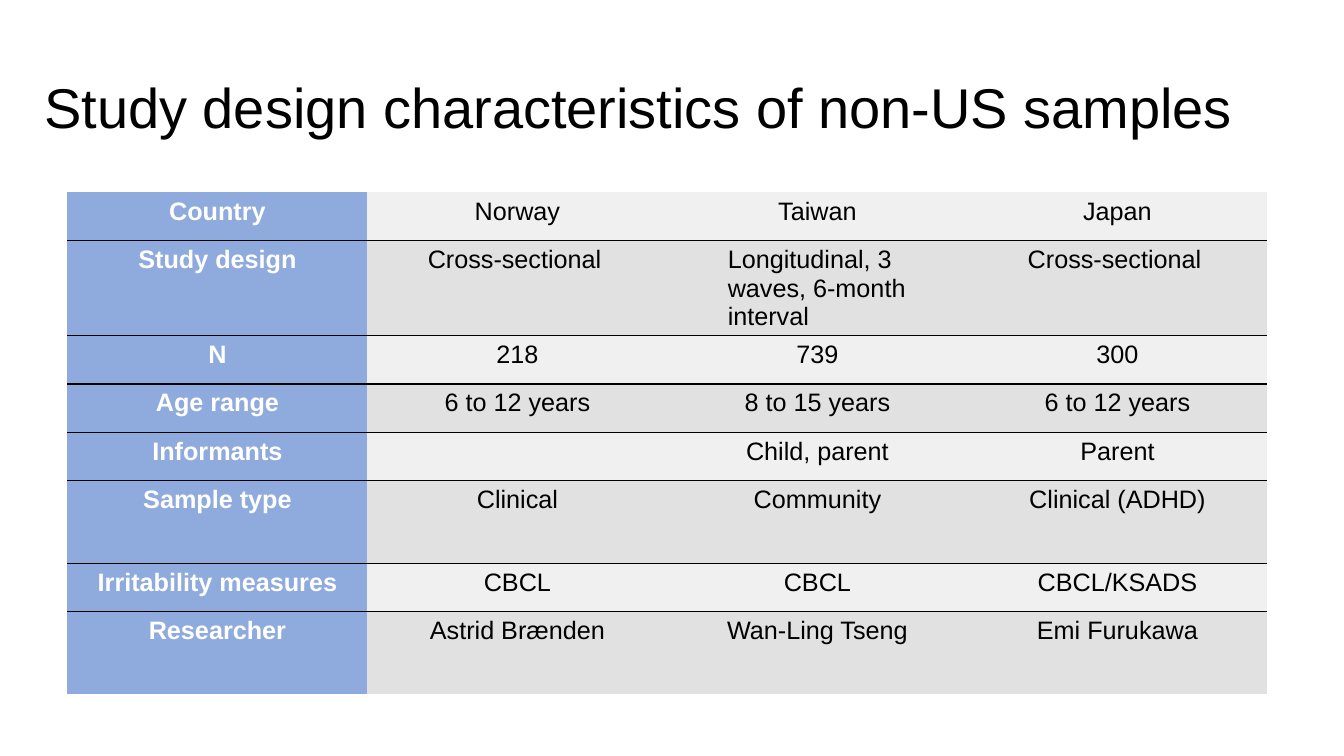
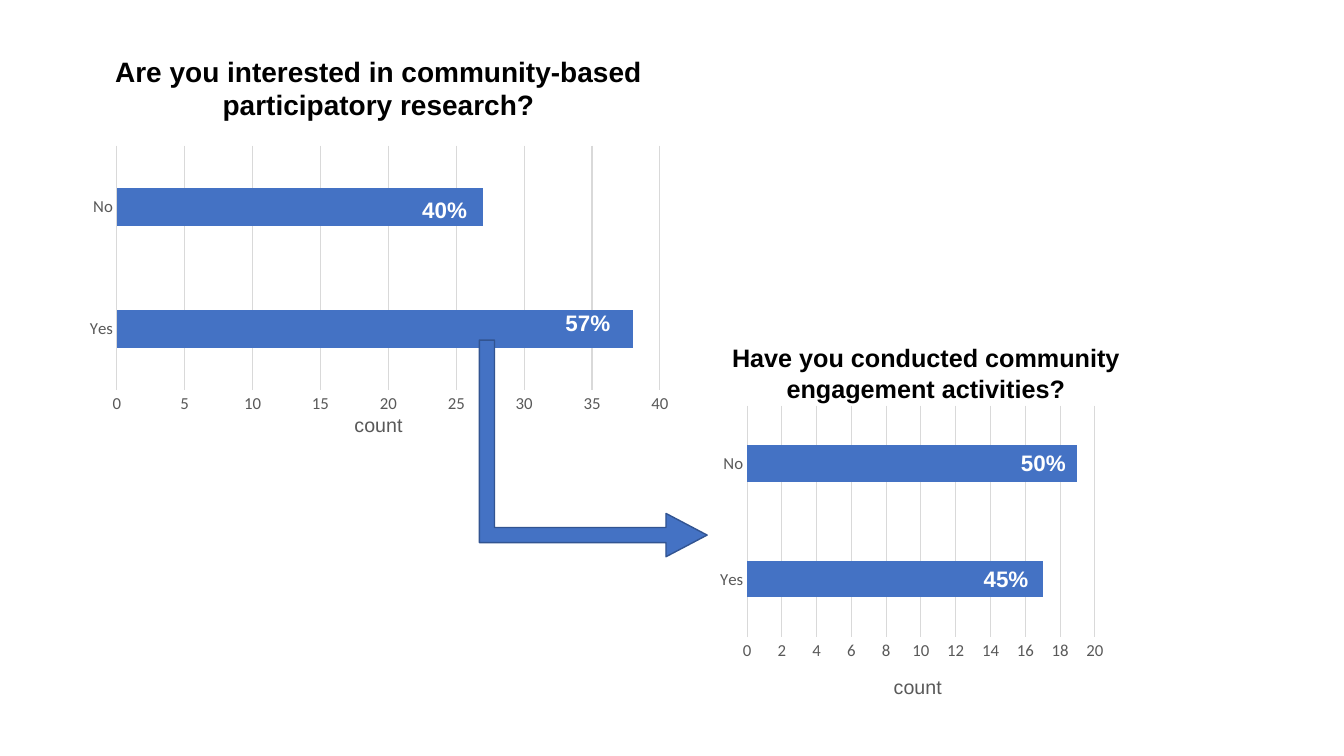
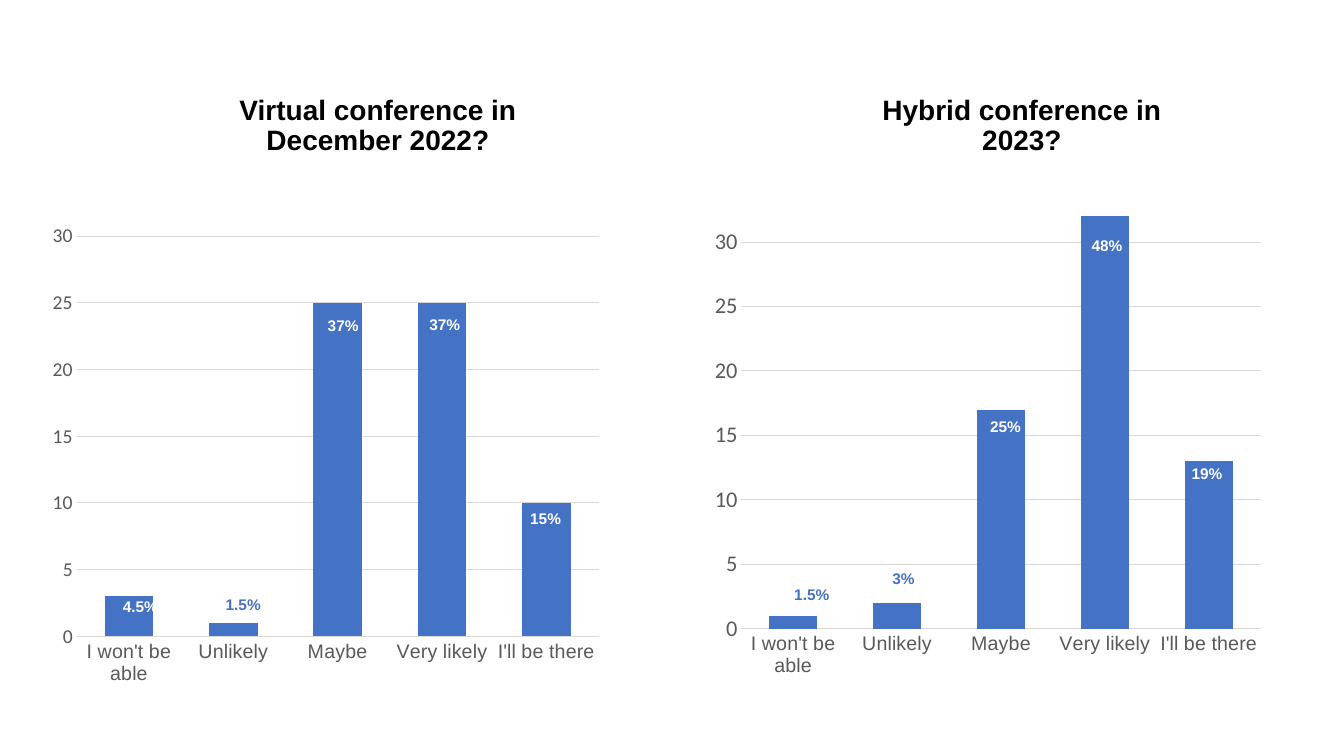
"""Build three slides on study samples and survey answers."""
import lxml.etree
import pptx
import pptx.chart.data
import pptx.dml.color
import pptx.enum.chart
import pptx.enum.shapes
import pptx.enum.text
import pptx.oxml
import pptx.oxml.ns
import pptx.util

Cm = pptx.util.Cm
Pt = pptx.util.Pt
qn = pptx.oxml.ns.qn
ALIGN = pptx.enum.text.PP_ALIGN
ANCHOR = pptx.enum.text.MSO_ANCHOR
CHART = pptx.enum.chart.XL_CHART_TYPE

BLACK, WHITE, GREY, RULE = "000000", "FFFFFF", "595959", "D9D9D9"
BLUE, DARK_BLUE, PALE_BLUE = "4472C4", "325491", "8FAADC"
BANDS = ("F0F0F0", "E1E1E1")
NO_TABLE_STYLE = "{2D5ABB26-0587-4C30-8999-92F81FD0307C}"
TITLE_ONLY = 5

SAMPLES = [
    (1.22, "Country", "Norway", "Taiwan", "Japan"),
    (2.08, "Study design", "Cross-sectional",
     "Longitudinal, 3 waves, 6-month interval", "Cross-sectional"),
    (1.22, "N", "218", "739", "300"),
    (1.22, "Age range", "6 to 12 years", "8 to 15 years", "6 to 12 years"),
    (1.22, "Informants", "", "Child, parent", "Parent"),
    (2.08, "Sample type", "Clinical", "Community", "Clinical (ADHD)"),
    (1.22, "Irritability measures", "CBCL", "CBCL", "CBCL/KSADS"),
    (2.08, "Researcher", "Astrid Brænden", "Wan-Ling Tseng", "Emi Furukawa"),
]
INDENTED_ROW = 1
ANSWERS = ["Yes", "No"]
LIKELIHOOD = ["I won't be able", "Unlikely", "Maybe", "Very likely",
              "I'll be there"]


def rgb(hex_code):
    """Return the colour for a hex string."""
    return pptx.dml.color.RGBColor.from_string(hex_code)


def paint(fill, hex_code):
    """Make a fill solid in one colour."""
    fill.solid()
    fill.fore_color.rgb = rgb(hex_code)


def style_font(font, size, color, name="Arial", bold=False):
    """Set face, size, colour and weight."""
    font.name, font.size, font.bold = name, Pt(size), bold
    font.color.rgb = rgb(color)


def write(tf, text, size, color=BLACK, bold=False, align=ALIGN.CENTER,
          spacing=1.0):
    """Write one formatted paragraph into a text frame."""
    p = tf.paragraphs[0]
    p.alignment, p.line_spacing = align, spacing
    r = p.add_run()
    r.text = text
    style_font(r.font, size, color, bold=bold)


def prepare(tf, anchor):
    """Make a text frame wrap at a fixed size."""
    tf.word_wrap = True
    tf.auto_size = pptx.enum.text.MSO_AUTO_SIZE.NONE
    tf.vertical_anchor = anchor


def add_slide(prs):
    """Add a slide with a title placeholder."""
    return prs.slides.add_slide(prs.slide_layouts[TITLE_ONLY])


def set_title(slide, box, text, size, anchor=ANCHOR.MIDDLE, **style):
    """Place and fill the title placeholder."""
    sp = slide.shapes.title
    sp.left, sp.top, sp.width, sp.height = map(Cm, box)
    prepare(sp.text_frame, anchor)
    write(sp.text_frame, text, size, **style)


def add_text(slide, box, text, size, anchor=ANCHOR.TOP, **style):
    """Add a text box with one paragraph."""
    sp = slide.shapes.add_textbox(*map(Cm, box))
    prepare(sp.text_frame, anchor)
    write(sp.text_frame, text, size, **style)


def rule_cell(cell, side):
    """Draw a thin black border on one side of a cell."""
    tc_pr = cell._tc.get_or_add_tcPr()
    ln = lxml.etree.Element(qn("a:" + side), w=str(Pt(1)))
    fill = lxml.etree.SubElement(ln, qn("a:solidFill"))
    lxml.etree.SubElement(fill, qn("a:srgbClr"), val=BLACK)
    tc_pr.insert(0, ln)


def add_sample_table(slide, left, top, col_width):
    """Add the table with blue row headings and grey bands."""
    n_rows, n_cols = len(SAMPLES), len(SAMPLES[0]) - 1
    height = sum(row[0] for row in SAMPLES)
    gf = slide.shapes.add_table(n_rows, n_cols, Cm(left), Cm(top),
                                Cm(col_width * n_cols), Cm(height))
    gf._element.xpath(".//a:tableStyleId")[0].text = NO_TABLE_STYLE
    table = gf.table
    table.first_row = table.horz_banding = False
    for column in table.columns:
        column.width = Cm(col_width)
    for i, (row_height, *texts) in enumerate(SAMPLES):
        table.rows[i].height = Cm(row_height)
        for j, text in enumerate(texts):
            cell, head = table.cell(i, j), j == 0
            paint(cell.fill, PALE_BLUE if head else BANDS[i % 2])
            if i < n_rows - 1:
                rule_cell(cell, "lnB")
            if i > 0:
                rule_cell(cell, "lnT")
            indented = i == INDENTED_ROW and not head
            if indented:
                cell.margin_left = Cm(1.52)
            if text:
                write(cell.text_frame, text, 18, WHITE if head else BLACK,
                      head, ALIGN.LEFT if indented else ALIGN.CENTER)


def set_plot_area(chart, *fractions):
    """Fix the inner plot area as fractions of the chart."""
    plot_area = chart._chartSpace.chart.plotArea
    for old in plot_area.findall(qn("c:layout")):
        plot_area.remove(old)
    layout = lxml.etree.Element(qn("c:layout"))
    manual = lxml.etree.SubElement(layout, qn("c:manualLayout"))
    settings = [("layoutTarget", "inner"), ("xMode", "edge"),
                ("yMode", "edge"), *zip("xywh", fractions)]
    for tag, value in settings:
        lxml.etree.SubElement(manual, qn("c:" + tag), val=str(value))
    plot_area.insert(0, layout)


def style_axis(axis, size, name):
    """Give an axis its font and drop its tick marks."""
    axis.major_tick_mark = pptx.enum.chart.XL_TICK_MARK.NONE
    axis.minor_tick_mark = pptx.enum.chart.XL_TICK_MARK.NONE
    style_font(axis.tick_labels.font, size, GREY, name)


def style_rule(line):
    """Draw a chart line thin and light grey."""
    line.color.rgb = rgb(RULE)
    line.width = Pt(0.75)


def add_bars(slide, kind, box, cats, values, maximum, unit, gap, overlap=0,
             cat_font="Calibri", cat_size=12, val_size=12):
    """Add a one-series bar or column chart and return it."""
    data = pptx.chart.data.CategoryChartData()
    data.categories = cats
    data.add_series("Series 1", values)
    chart = slide.shapes.add_chart(kind, *map(Cm, box), data).chart
    chart.has_title = chart.has_legend = False
    style_font(chart.font, 10, BLACK, "Calibri")
    plot = chart.plots[0]
    plot.vary_by_categories = False
    plot.gap_width, plot.overlap = gap, overlap
    paint(plot.series[0].format.fill, BLUE)
    cat_axis, val_axis = chart.category_axis, chart.value_axis
    style_axis(cat_axis, cat_size, cat_font)
    style_axis(val_axis, val_size, "Calibri")
    style_rule(cat_axis.format.line)
    val_axis.format.line.fill.background()
    val_axis.has_major_gridlines = True
    style_rule(val_axis.major_gridlines.format.line)
    val_axis.minimum_scale, val_axis.maximum_scale = 0, maximum
    val_axis.major_unit = unit
    return chart


def add_bent_arrow(slide, box):
    """Add the arrow that leads from one chart to the next."""
    sp = slide.shapes.add_shape(
        pptx.enum.shapes.MSO_SHAPE.BENT_UP_ARROW, *map(Cm, box))
    sp.rotation = 90
    sp.shadow.inherit = False
    for i, value in enumerate((0.07, 0.1, 0.19)):
        sp.adjustments[i] = value
    paint(sp.fill, BLUE)
    sp.line.color.rgb = rgb(DARK_BLUE)
    sp.line.width = Pt(1)


def build_samples(prs):
    """Build the slide with the table of samples."""
    s = add_slide(prs)
    set_title(s, (0.86, 0.94, 31.09, 3.68),
              "Study design characteristics of non-US samples", 40,
              align=ALIGN.LEFT, spacing=0.9)
    add_sample_table(s, 1.7, 4.85, 7.56)


def build_engagement(prs):
    """Build the slide with two linked bar charts."""
    s = add_slide(prs)
    set_title(s, (1.07, 1.24, 16.94, 1.96),
              "Are you interested in community-based participatory research?",
              20, ANCHOR.TOP, bold=True)
    add_bars(s, CHART.BAR_CLUSTERED, (1.96, 3.53, 15.19, 7.04), ANSWERS,
             (38, 27), 40, 5, 219)
    chart = add_bars(s, CHART.BAR_CLUSTERED, (17.81, 9.86, 10.19, 7.21),
                     ANSWERS, (17, 19), 20, 2, 219)
    set_plot_area(chart, 0.1, 0.05, 0.86, 0.81)
    add_text(s, (17.81, 8.51, 11.05, 1.8),
             "Have you conducted community engagement activities?", 18,
             bold=True)
    for x, y, text in ((14, 7.67, "57%"), (10.39, 4.83, "40%"),
                       (24.54, 14.12, "45%"), (25.48, 11.2, "50%")):
        add_text(s, (x, y, 2.06, 0.94), text, 16, color=WHITE, bold=True,
                 align=ALIGN.LEFT)
    add_bent_arrow(s, (12.22, 8.43, 5.46, 5.74))
    for x, y in ((8.18, 10.29), (21.77, 16.87)):
        add_text(s, (x, y, 2.72, 0.86), "count", 14, color=GREY)


def build_conference(prs):
    """Build the slide with two column charts on attendance."""
    s = add_slide(prs)
    heading = {"bold": True, "spacing": 0.9}
    set_title(s, (5.74, 1.35, 7.57, 3.68),
              "Virtual conference in December 2022?", 20, **heading)
    add_text(s, (21.97, 1.35, 7.57, 3.68), "Hybrid conference in 2023?", 20,
             ANCHOR.MIDDLE, **heading)
    for box, values, val_size in (
            ((1.04, 5.03, 14.33, 12.47), (3, 1, 25, 25, 10), 14),
            ((17.73, 5.21, 14.33, 12.09), (1, 2, 17, 32, 13), 16)):
        add_bars(s, CHART.COLUMN_CLUSTERED, box, LIKELIHOOD, values, 32, 5,
                 114, -27, "Arial", 14, val_size)
    for x, y, text, color in (
            (2.69, 14.91, "4.5%", WHITE), (5.28, 14.86, "1.5%", BLUE),
            (7.8, 7.85, "37%", WHITE), (10.36, 7.82, "37%", WHITE),
            (12.9, 12.7, "15%", WHITE), (19.61, 14.63, "1.5%", BLUE),
            (21.92, 14.22, "3%", BLUE), (24.49, 10.39, "25%", WHITE),
            (27.05, 5.82, "48%", WHITE), (29.57, 11.58, "19%", WHITE)):
        add_text(s, (x, y, 1.7, 1.4), text, 11, color=color, bold=True,
                 spacing=1.0)


def main():
    """Build and save the presentation."""
    prs = pptx.Presentation()
    prs.slide_width, prs.slide_height = Cm(33.87), Cm(19.05)
    build_samples(prs)
    build_engagement(prs)
    build_conference(prs)
    prs.save("out.pptx")


if __name__ == "__main__":
    main()
